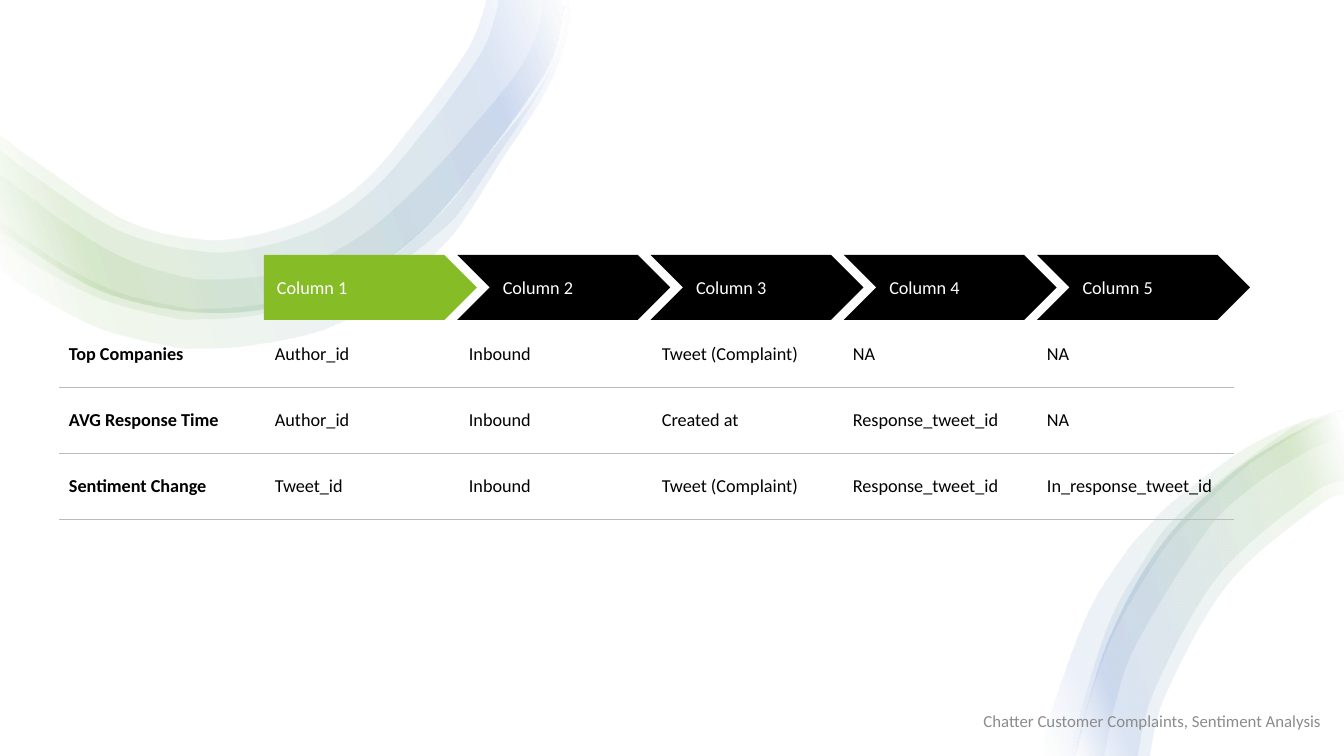
from dataclasses import dataclass
from itertools import accumulate
from pptx import Presentation
from pptx import util as u
from pptx.dml.color import RGBColor
from pptx.enum import shapes, text
from pptx.oxml import parse_xml
from pptx.oxml.ns import nsdecls

FOOTER = "Chatter Customer Complaints, Sentiment Analysis"
STEPS = ["Column 1", "Column 2", "Column 3", "Column 4", "Column 5"]
ROWS = [
    ("Top Companies", "Author_id", "Inbound", "Tweet (Complaint)", "NA"),
    ("AVG Response Time", "Author_id", "Inbound", "Created at", "Response_tweet_id"),
    ("Sentiment Change", "Tweet_id", "Inbound", "Tweet (Complaint)", "Response_tweet_id"),
]
LAST_COLUMN = [("NA",), ("NA",), ("In_response_tweet_id",)]
COL_WIDTHS = [206, 194, 193, 191, 391]

TOP_CORE = [(563, 0), (563, 9), (554, 52), (534, 90), (481, 162), (427, 225), (365, 272),
            (291, 302), (204, 312), (103, 291), (17, 241), (0, 229)]
LOW_CORE = [(1344, 412), (1319, 420), (1234, 472), (1161, 546), (1109, 640),
            (1078, 743), (1076, 756)]
TOP_RIBBONS = [
    ([(565, 0), (561, 33), (551, 65), (534, 95), (514, 122), (481, 162), (449, 203),
      (424, 227), (371, 268), (310, 294), (244, 306), (202, 308), (176, 306), (113, 290),
      (54, 259), (0, 221)],
     [(570, 0), (566, 33), (556, 67), (541, 98), (522, 128), (503, 156), (485, 185),
      (466, 215), (444, 243), (390, 293), (323, 329), (248, 345), (197, 348), (171, 346),
      (97, 327), (30, 291), (0, 269)]),
    ([(542, 0), (539, 24), (528, 52), (512, 78), (492, 103), (471, 127), (450, 152),
      (406, 197), (359, 236), (305, 265), (260, 276), (212, 279), (181, 276), (124, 258),
      (71, 227), (18, 188), (0, 175)],
     [(563, 0), (559, 36), (546, 78), (520, 121), (493, 161), (465, 203), (442, 229),
      (385, 272), (319, 300), (248, 316), (199, 319), (175, 318), (104, 300), (40, 268),
      (0, 241)]),
    ([(498, 0), (497, 9), (483, 49), (451, 96), (427, 127), (379, 183), (328, 222),
      (269, 244), (204, 251), (119, 230), (33, 175), (0, 150)], TOP_CORE),
    ([(485, 0), (484, 8), (470, 45), (440, 89), (416, 120), (372, 173), (325, 209),
      (268, 231), (204, 239), (126, 220), (41, 165), (0, 135)], TOP_CORE),
]
LOW_RIBBONS = [
    ([(1344, 409), (1292, 426), (1261, 440), (1231, 458), (1174, 501), (1149, 526),
      (1125, 554), (1087, 616), (1049, 721), (1044, 756)],
     [(1344, 416), (1328, 421), (1296, 435), (1267, 453), (1240, 472), (1190, 519),
      (1158, 558), (1115, 632), (1091, 696), (1077, 756)]),
    (LOW_CORE, [(1344, 495), (1317, 507), (1229, 583), (1167, 692), (1150, 756)]),
    ([(1344, 411), (1320, 418), (1289, 430), (1182, 512), (1141, 566), (1108, 627),
      (1077, 727), (1072, 756)],
     [(1344, 436), (1329, 442), (1300, 456), (1249, 490), (1205, 534), (1138, 642),
      (1116, 703), (1105, 756)]),
    (LOW_CORE, [(1344, 481), (1311, 495), (1220, 574), (1156, 687), (1138, 756)]),
]


@dataclass(frozen=True)
class Theme:
    font: str = "Calibri"
    black: str = "000000"
    white: str = "FFFFFF"
    accent: str = "86BC25"
    rule: str = "BBBCBC"
    muted: str = "8C8C8C"
    ribbon: tuple = ((2, "FFFFFF"), (16, "70AD47"), (85, "4472C4"), (100, "FFFFFF"))
    ribbon_alpha: int = 10
    body: int = 13
    footer: int = 12


T = Theme()


def px(n):
    return u.Emu(round(n * 914400 / 100.8))


def write(tf, value, size=T.body, color=T.black, bold=False, align=text.PP_ALIGN.LEFT, before=0):
    p = tf.paragraphs[0]
    p.alignment = align
    p.space_before = u.Pt(before)
    r = p.add_run()
    r.text = value
    r.font.name, r.font.size, r.font.bold = T.font, u.Pt(size), bold
    r.font.color.rgb = RGBColor.from_string(color)


def set_margins(box, n):
    box.margin_left = box.margin_right = box.margin_top = box.margin_bottom = px(n)


def add_filled(s, kind, left, top, width, height, color):
    sp = s.shapes.add_shape(kind, px(left), px(top), px(width), px(height))
    sp.shadow.inherit = False
    sp.fill.solid()
    sp.fill.fore_color.rgb = RGBColor.from_string(color)
    sp.line.fill.background()
    return sp


def bezier_segments(points):
    padded = [points[0], *points, points[-1]]
    for a, b, c, d in zip(padded, padded[1:], padded[2:], padded[3:]):
        yield ([q + (r - p) / 6 for p, q, r in zip(a, b, c)],
               [r - (t - q) / 6 for q, r, t in zip(b, c, d)], c)


def add_ribbon(s, inner, outer, angle):
    edges = [[(px(x), px(y)) for x, y in edge] for edge in (inner, outer[::-1])]
    builder = s.shapes.build_freeform(*edges[0][0])
    builder.add_line_segments(edges[0][1:] + edges[1], close=True)
    sp = builder.convert_to_shape()
    sp.shadow.inherit = False
    sp.line.fill.background()
    geometry = sp._element.spPr.find("{*}custGeom")
    lines = geometry.findall(".//{*}lnTo")
    curves = [*bezier_segments(edges[0]), None, *bezier_segments(edges[1])]
    for line, curve in zip(lines, curves):
        if curve:
            pts = "".join(f'<a:pt x="{round(x - sp.left)}" y="{round(y - sp.top)}"/>'
                          for x, y in curve)
            line.getparent().replace(line, parse_xml(
                f'<a:cubicBezTo {nsdecls("a")}>{pts}</a:cubicBezTo>'))
    stops = "".join(
        f'<a:gs pos="{pos * 1000}"><a:srgbClr val="{color}">'
        f'<a:alpha val="{T.ribbon_alpha * 1000}"/></a:srgbClr></a:gs>'
        for pos, color in T.ribbon)
    geometry.addnext(parse_xml(
        f'<a:gradFill {nsdecls("a")} rotWithShape="1"><a:gsLst>{stops}</a:gsLst>'
        f'<a:lin ang="{angle * 60000}" scaled="0"/></a:gradFill>'))


def set_borders(cell, **colors):
    tcPr = cell._tc.get_or_add_tcPr()
    for side in "LRTB":
        color = colors.get(side)
        paint = f'<a:solidFill><a:srgbClr val="{color}"/></a:solidFill>' if color else "<a:noFill/>"
        tcPr.append(parse_xml(f'<a:ln{side} {nsdecls("a")} w="6350">{paint}</a:ln{side}>'))


def add_footer(s):
    tf = s.shapes.add_textbox(px(20), px(701), px(1311), px(40)).text_frame
    tf.word_wrap = True
    tf.vertical_anchor = text.MSO_ANCHOR.MIDDLE
    write(tf, FOOTER, size=T.footer, color=T.muted, align=text.PP_ALIGN.RIGHT)


def add_data_table(s, rows, widths, left, rule=None, bold_first=False, top=321, row_height=66):
    table = s.shapes.add_table(len(rows), len(widths), px(left), px(top),
                               px(sum(widths)), px(row_height * len(rows))).table
    table.first_row = table.horz_banding = False
    edges = [px(left + x) for x in accumulate(widths, initial=0)]
    for column, start, end in zip(table.columns, edges, edges[1:]):
        column.width = end - start
    for i, row in enumerate(rows):
        table.rows[i].height = px(row_height)
        for j, value in enumerate(row):
            cell = table.cell(i, j)
            set_borders(cell, T=rule if i else None, B=rule)
            cell.fill.background()
            set_margins(cell, 10)
            cell.vertical_anchor = text.MSO_ANCHOR.MIDDLE
            write(cell.text_frame, value, bold=bold_first and j == 0, before=3)


def add_steps(s, left=264, top=255, width=213, height=65, pitch=193.25):
    for i, label in enumerate(STEPS):
        kind = shapes.MSO_SHAPE.CHEVRON if i else shapes.MSO_SHAPE.PENTAGON
        sp = add_filled(s, kind, left + i * pitch, top, width, height,
                        T.black if i else T.accent)
        tf = sp.text_frame
        set_margins(tf, 13)
        tf.vertical_anchor = text.MSO_ANCHOR.MIDDLE
        write(tf, label, color=T.white)


def main():
    prs = Presentation()
    prs.slide_width, prs.slide_height = px(1344), px(756)
    s = prs.slides.add_slide(prs.slide_layouts[6])
    add_filled(s, shapes.MSO_SHAPE.RECTANGLE, 0, 0, 1344, 756, T.white)
    for ribbons, angle in ((TOP_RIBBONS, 340), (LOW_RIBBONS, 160)):
        for inner, outer in ribbons:
            add_ribbon(s, inner, outer, angle)
    add_footer(s)
    add_data_table(s, ROWS, COL_WIDTHS, left=59, rule=T.rule, bold_first=True)
    add_steps(s)
    add_data_table(s, LAST_COLUMN, COL_WIDTHS[-1:], left=1037)
    prs.save("out.pptx")


if __name__ == "__main__":
    main()
